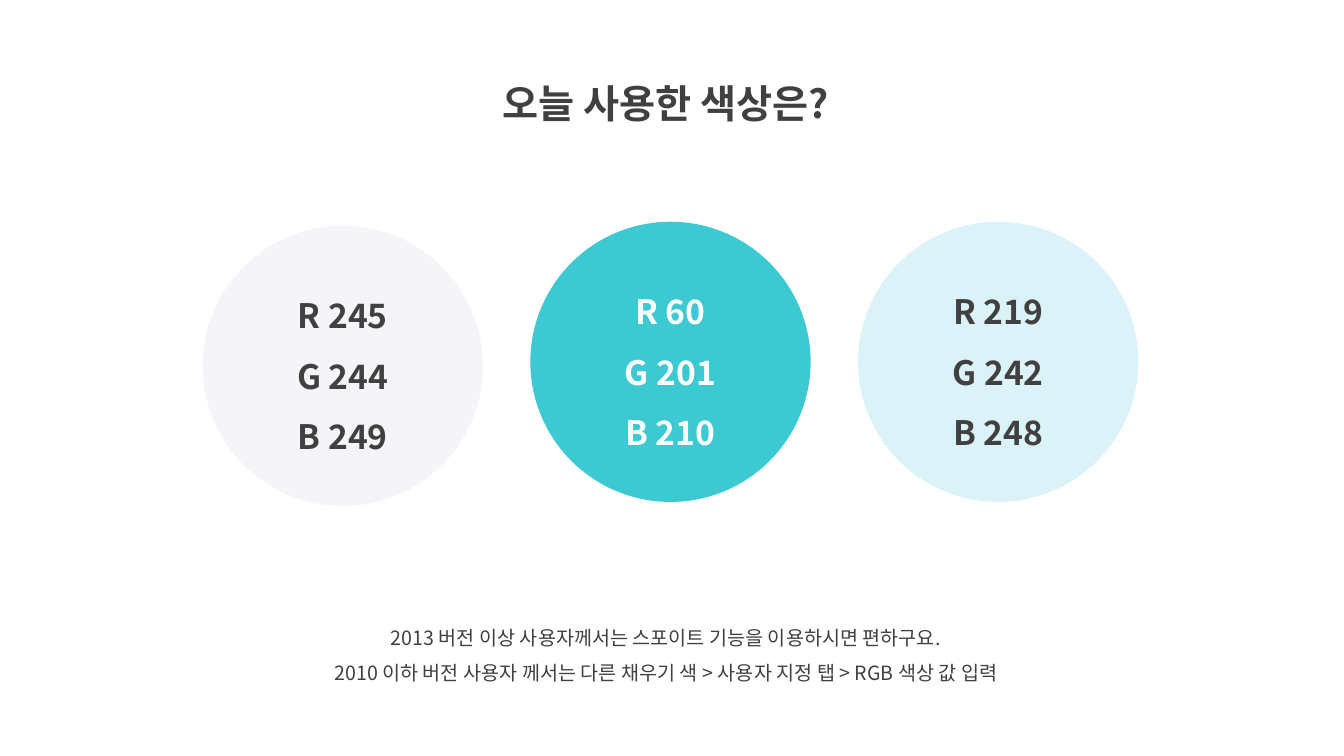
from dataclasses import dataclass

import lxml.etree
import pptx
import pptx.dml.color
import pptx.enum.shapes
import pptx.enum.text
import pptx.oxml.ns
import pptx.util

RGBColor = pptx.dml.color.RGBColor
CHARCOAL = RGBColor(0x40, 0x40, 0x40)
WHITE = RGBColor(0xFF, 0xFF, 0xFF)
LAVENDER = RGBColor(245, 244, 249)
TURQUOISE = RGBColor(60, 201, 210)
PALE_BLUE = RGBColor(219, 242, 248)

FONT = "Noto Sans CJK KR"
PAGE_WIDTH = pptx.util.Inches(13.33)
PAGE_HEIGHT = pptx.util.Inches(7.5)

# Circle grid, in inches
FIRST_COLUMN = 2.01
COLUMN_PITCH = 3.25
DIAMETER = 2.78


@dataclass(frozen=True)
class Caption:
    """Text block whose frame is given in inches."""
    left: float
    top: float
    width: float
    height: float
    lines: tuple[str, ...]
    size: int
    bold: bool = False


@dataclass(frozen=True)
class Swatch:
    column: int
    top: float
    fill: RGBColor
    ink: RGBColor = CHARCOAL


CAPTIONS = (
    Caption(4.29, 0.5, 4.63, 0.72, ("오늘 사용한 색상은?",), 28, True),
    Caption(2.61, 6.04, 7.99, 0.81, (
        "2013 버전 이상 사용자께서는 스포이트 기능을 이용하시면 편하구요.",
        "2010 이하 버전 사용자 께서는 다른 채우기 색 > 사용자 지정 탭 > RGB 색상 값 입력",
    ), 14),
)
SWATCHES = (
    Swatch(1, 2.2, TURQUOISE, WHITE),
    Swatch(0, 2.24, LAVENDER),
    Swatch(2, 2.2, PALE_BLUE),
)


def write_lines(frame: pptx.text.text.TextFrame, lines: tuple[str, ...],
                size: int, ink: RGBColor, bold: bool) -> None:
    frame.word_wrap = True
    frame.text = "\n".join(lines)
    for para in frame.paragraphs:
        para.alignment = pptx.enum.text.PP_ALIGN.CENTER
        para.line_spacing = 1.5
        for span in para.runs:
            span.font.size = pptx.util.Pt(size)
            span.font.bold = bold
            span.font.color.rgb = ink
            span.font.name = FONT
            east_asian = lxml.etree.SubElement(
                span.font._element, pptx.oxml.ns.qn("a:ea"))
            east_asian.set("typeface", FONT)


def add_caption(page: pptx.slide.Slide, caption: Caption) -> None:
    box = page.shapes.add_textbox(*map(pptx.util.Inches, (
        caption.left, caption.top, caption.width, caption.height)))
    write_lines(box.text_frame, caption.lines, caption.size, CHARCOAL, caption.bold)
    box.text_frame.auto_size = pptx.enum.text.MSO_AUTO_SIZE.SHAPE_TO_FIT_TEXT


def add_swatch(page: pptx.slide.Slide, swatch: Swatch) -> None:
    """Draw a circle labelled with the channel values of its own fill."""
    left = FIRST_COLUMN + swatch.column * COLUMN_PITCH
    circle = page.shapes.add_shape(
        pptx.enum.shapes.MSO_SHAPE.OVAL,
        *map(pptx.util.Inches, (left, swatch.top, DIAMETER, DIAMETER)))
    circle.shadow.inherit = False
    circle.fill.solid()
    circle.fill.fore_color.rgb = swatch.fill
    circle.line.fill.background()
    circle.text_frame.vertical_anchor = pptx.enum.text.MSO_ANCHOR.MIDDLE
    channels = tuple(f"{name} {value}" for name, value in zip("RGB", swatch.fill))
    write_lines(circle.text_frame, channels, 24, swatch.ink, True)


def main() -> None:
    deck = pptx.Presentation()
    deck.slide_width = PAGE_WIDTH
    deck.slide_height = PAGE_HEIGHT
    page = deck.slides.add_slide(deck.slide_layouts[6])
    for caption in CAPTIONS:
        add_caption(page, caption)
    for swatch in SWATCHES:
        add_swatch(page, swatch)
    deck.save("out.pptx")


if __name__ == "__main__":
    main()
